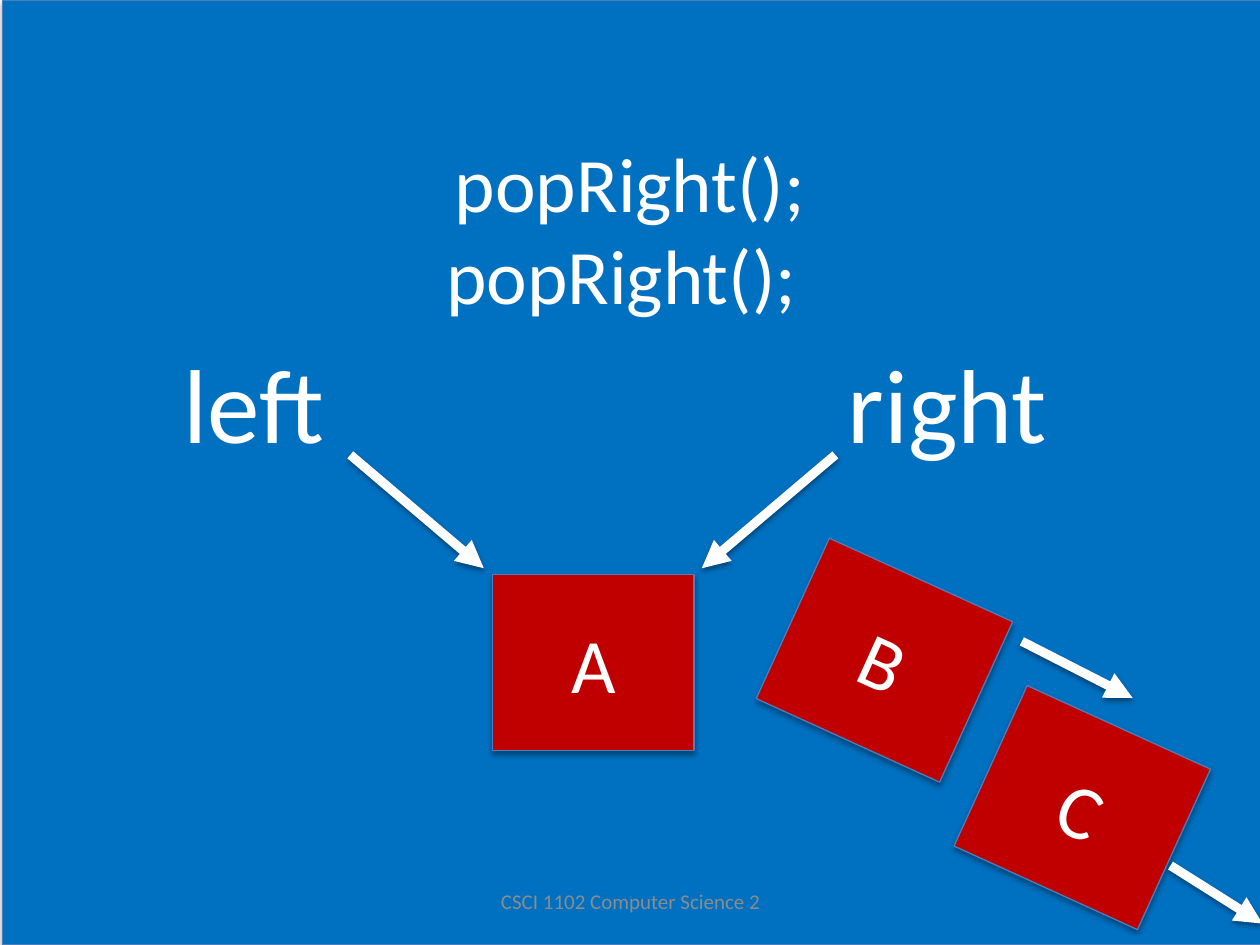
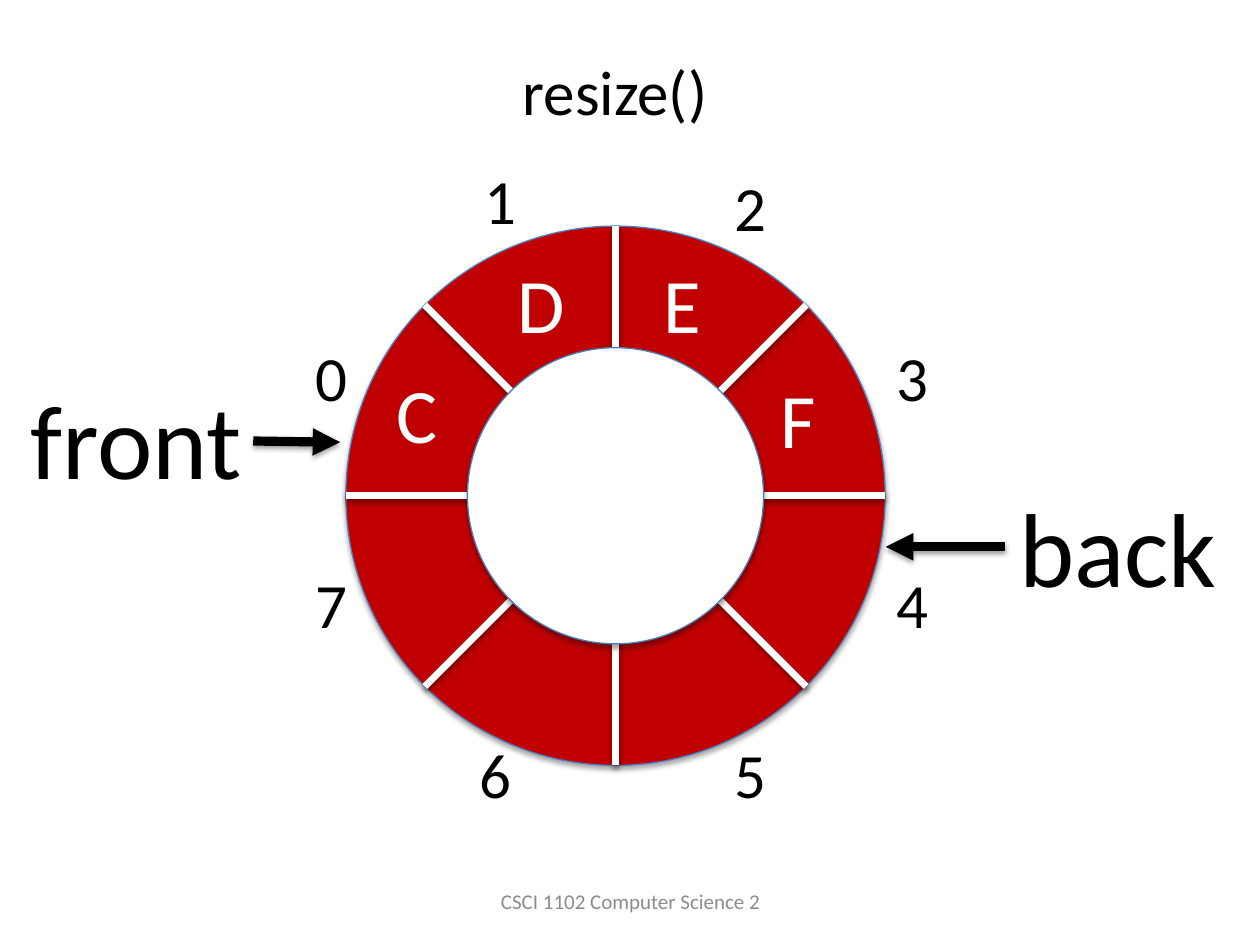
from math import cos, pi, sin
from typing import NamedTuple

from pptx import Presentation
from pptx.dml.color import RGBColor
from pptx.enum.shapes import MSO_CONNECTOR, MSO_SHAPE
from pptx.enum.text import MSO_ANCHOR, PP_ALIGN
from pptx.oxml import parse_xml
from pptx.oxml.ns import nsdecls
from pptx.util import Inches, Pt

# Grid: 100 columns by 75 rows of square cells
COLS, ROWS = 100, 75
CELL = Inches(10) // COLS

FONT = "Calibri"
WHITE = RGBColor(0xFF, 0xFF, 0xFF)
BLACK = RGBColor(0x00, 0x00, 0x00)
BLUE = RGBColor(0x00, 0x70, 0xC0)
RED = RGBColor(0xC0, 0x00, 0x00)
EDGE = RGBColor(0x4B, 0x7E, 0xBC)
GREY = RGBColor(0x8C, 0x8C, 0x8C)


class Area(NamedTuple):
    col: float
    row: float
    wide: float
    high: float


class Label(NamedTuple):
    text: str
    area: Area
    size: int
    color: RGBColor
    lead: float = 0  # space before, as a share of the size
    mid: bool = False  # centred both ways
    wrap: bool = True


class Arrow(NamedTuple):
    start: tuple[float, float]
    end: tuple[float, float]


class Tile(NamedTuple):
    text: str
    col: float
    row: float
    turn: float = 0


def cells(*counts: float) -> list[int]:
    return [round(n * CELL) for n in counts]


def shade(shape, alpha: int, dist: float) -> None:
    """Give a shape or line a soft shadow straight below it."""
    shape._element.spPr.append(parse_xml(
        f'<a:effectLst {nsdecls("a")}><a:outerShdw blurRad="{Pt(3.1)}" '
        f'dist="{Pt(dist)}" dir="5400000" rotWithShape="0">'
        f'<a:srgbClr val="000000"><a:alpha val="{alpha * 1000}"/></a:srgbClr>'
        '</a:outerShdw></a:effectLst>'))


def style(para, size: int, color: RGBColor) -> None:
    para.font.name = FONT
    para.font.size = Pt(size)
    para.font.color.rgb = color


def write(shapes, label: Label) -> None:
    frame = shapes.add_textbox(*cells(*label.area)).text_frame
    frame.word_wrap = label.wrap
    para = frame.paragraphs[0]
    para.text = label.text
    style(para, label.size, label.color)
    if label.lead:
        para.space_before = Pt(label.lead * label.size)
    if label.mid:
        frame.vertical_anchor = MSO_ANCHOR.MIDDLE
        para.alignment = PP_ALIGN.CENTER


def solid(shapes, kind: MSO_SHAPE, area: Area, fill: RGBColor):
    shape = shapes.add_shape(kind, *cells(*area))
    shape.fill.solid()
    shape.fill.fore_color.rgb = fill
    shape.line.color.rgb = EDGE
    shape.line.width = Pt(0.75)
    shade(shape, 35, 1.8)
    return shape


def disc(shapes, radius: float, fill: RGBColor) -> None:
    side = 2 * radius
    solid(shapes, MSO_SHAPE.OVAL,
          Area(HUB[0] - radius, HUB[1] - radius, side, side), fill)


def stroke(shapes, arrow: Arrow, color: RGBColor, width: float,
           tip: bool = True) -> None:
    line = shapes.add_connector(MSO_CONNECTOR.STRAIGHT,
                                *cells(*arrow.start, *arrow.end))
    line.line.color.rgb = color
    line.line.width = Pt(width)
    if tip:
        line.line._get_or_add_ln().append(
            parse_xml(f'<a:tailEnd {nsdecls("a")} type="triangle"/>'))
    shade(line, 38, 1.6)


def place(shapes, tile: Tile) -> None:
    box = solid(shapes, MSO_SHAPE.RECTANGLE,
                Area(tile.col, tile.row, 16, 14), RED)
    box.rotation = tile.turn
    frame = box.text_frame
    frame.vertical_anchor = MSO_ANCHOR.MIDDLE
    para = frame.paragraphs[0]
    para.text = tile.text
    para.alignment = PP_ALIGN.CENTER
    style(para, 44, WHITE)


# Shared
FOOTER = Label("CSCI 1102 Computer Science 2", Area(34.2, 69.5, 31.7, 4),
               12, GREY, mid=True)
BOLD = 5.25  # arrow width

# Deque slide
CALLS = Label("popRight(); popRight(); ", Area(24.1, 6, 51.8, 24.1),
              44, WHITE, lead=0.2, mid=True)
ENDS = [
    Label("left", Area(13.6, 26.4, 13.5, 11.8), 60, WHITE, lead=0.2),
    Label("right", Area(66.3, 26.4, 18.8, 11.8), 60, WHITE, lead=0.2),
]
TILES = [Tile("A", 39.1, 45.6), Tile("B", 62.2, 45.4, 24.5),
         Tile("C", 77.9, 57.1, 24.5)]
MOVES = [
    Arrow((66.3, 36.1), (55.7, 45.1)),
    Arrow((27.8, 36.1), (38.4, 45.1)),
    Arrow((81.1, 50.9), (89.9, 55.4)),
    Arrow((92.9, 68.7), (100.2, 73.3)),
]

# Ring slide
HUB = (48.85, 39.35)
RIM, HOLE = 21.4, 11.75
SLOTS = 8
MARKS = [(24.1, 26.4), (37.5, 12.3), (57.3, 12.9), (70.2, 26.4),
         (70.2, 44.4), (57.3, 57.9), (37.1, 57.9), (24.1, 44.4)]
ITEMS = {"C": (30.5, 28.6), "D": (40.1, 19.9),
         "E": (51.7, 19.9), "F": (61, 29)}
NAMES = [
    Label("front", Area(1.4, 29.2, 22.4, 11.8), 60, BLACK, lead=0.2),
    Label("back", Area(79.9, 37.8, 18.9, 11.8), 60, BLACK, lead=0.2),
    Label("resize()", Area(40.5, 3.7, 16.8, 7.1), 36, BLACK, wrap=False),
]
HINTS = [Arrow((79.8, 43.4), (70.3, 43.4)), Arrow((20.1, 35), (27, 35.1))]


def draw_ring(shapes) -> None:
    disc(shapes, RIM, RED)
    # Each spoke crosses the whole disc, so half the slots suffice
    for step in range(SLOTS // 2):
        turn = 2 * pi * step / SLOTS
        dx, dy = RIM * cos(turn), RIM * sin(turn)
        spoke = Arrow((HUB[0] + dx, HUB[1] + dy), (HUB[0] - dx, HUB[1] - dy))
        stroke(shapes, spoke, WHITE, 4, tip=False)
    disc(shapes, HOLE, WHITE)
    for index, spot in enumerate(MARKS):
        write(shapes, Label(str(index), Area(*spot, 4.6, 7.1), 36, BLACK,
                            wrap=False))


def build_deque(shapes) -> None:
    solid(shapes, MSO_SHAPE.RECTANGLE, Area(0.2, 0, COLS, ROWS), BLUE)
    for label in [CALLS, FOOTER, *ENDS]:
        write(shapes, label)
    for tile in TILES:
        place(shapes, tile)
    for move in MOVES:
        stroke(shapes, move, WHITE, BOLD)


def build_ring(shapes) -> None:
    write(shapes, FOOTER)
    draw_ring(shapes.add_group_shape().shapes)
    for label in NAMES:
        write(shapes, label)
    for hint in HINTS:
        stroke(shapes, hint, BLACK, BOLD)
    for text, spot in ITEMS.items():
        write(shapes, Label(text, Area(*spot, 5.3, 8.4), 44, WHITE,
                            wrap=False))


def main() -> None:
    deck = Presentation()
    deck.slide_width, deck.slide_height = cells(COLS, ROWS)
    blank = deck.slide_layouts[6]
    for build in (build_deque, build_ring):
        build(deck.slides.add_slide(blank).shapes)
    deck.save("out.pptx")


if __name__ == "__main__":
    main()
